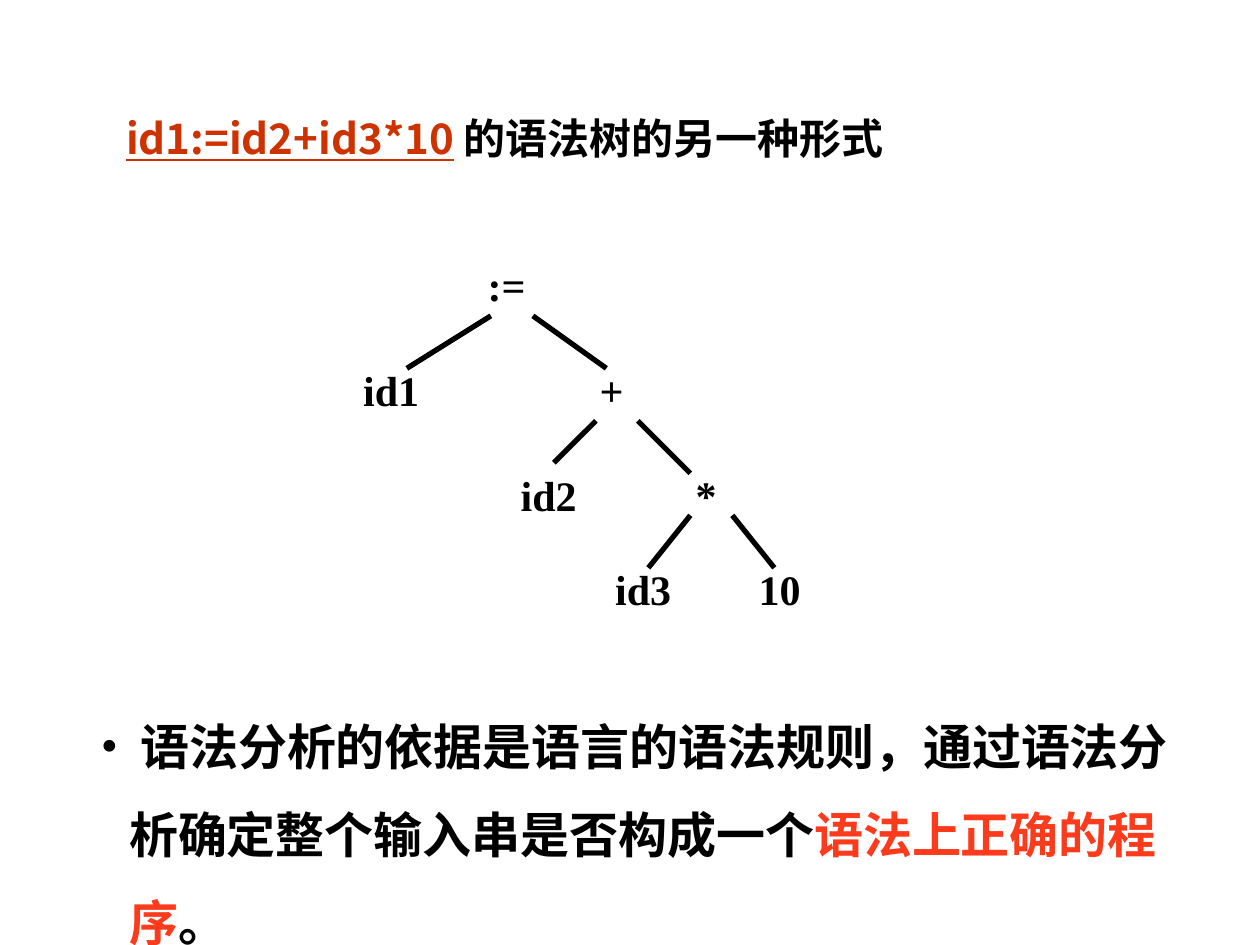
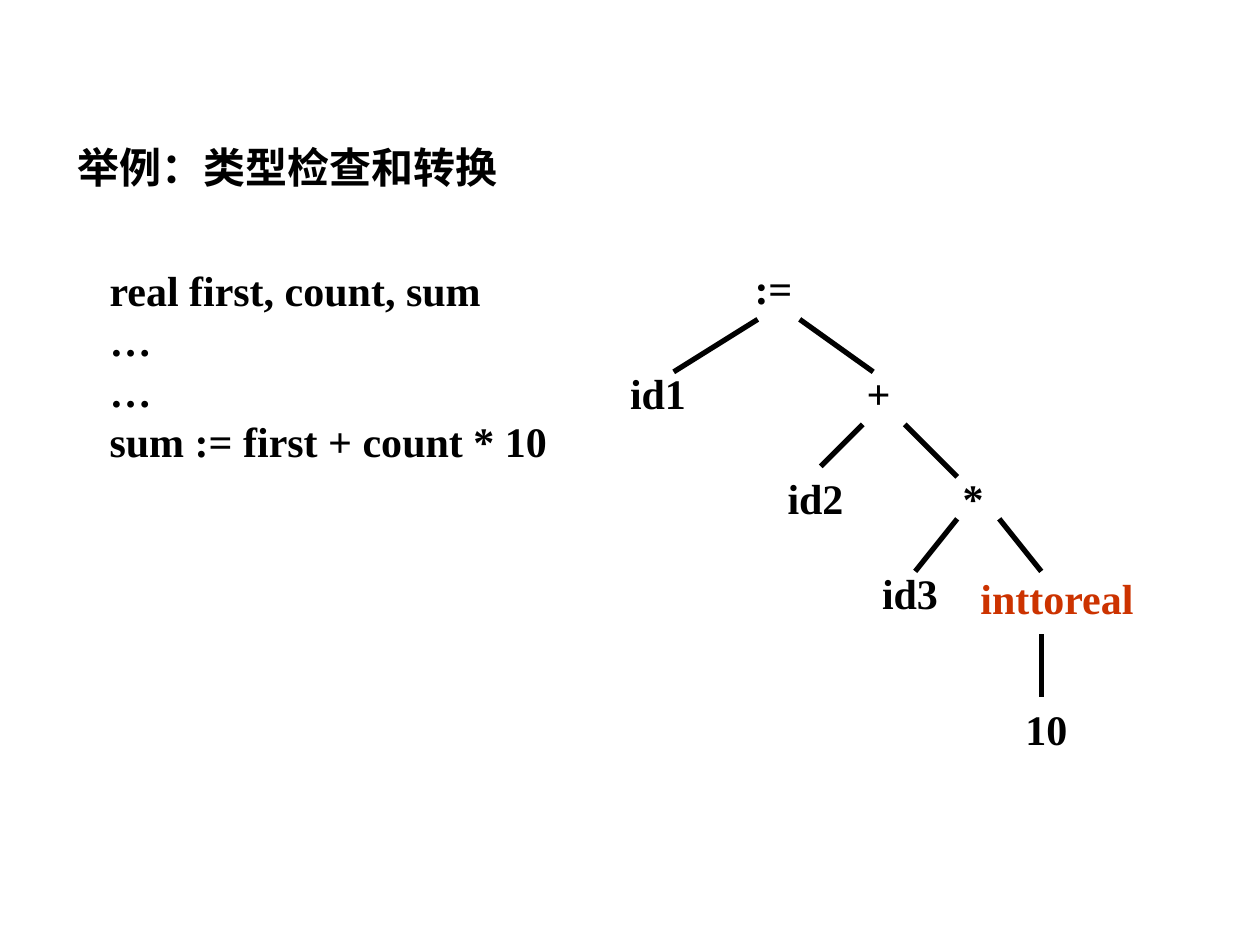
from lxml import etree
from pptx import Presentation
from pptx.dml.color import RGBColor
from pptx.enum import shapes, text
from pptx.oxml.ns import qn
from pptx.util import Pt

BLACK, RUST, RED = "000000", "CC3300", "FB3B1C"
SERIF, SANS, SANS_BODY = "Times New Roman", "Noto Sans CJK SC", "Noto Sans CJK JP"

NODE_W, NODE_H = 42, 36
# Node offsets from the top left of the tree
NODES = [(":=", 66, 0), ("id1", 0, 60), ("+", 126, 60), ("id2", 90, 120),
         ("*", 180, 120), ("id3", 144, 174)]
# Branches: start and end offsets
BRANCHES = [(78, 36, 30, 66), (102, 36, 144, 66), (138, 96, 114, 120),
            (162, 96, 192, 126), (192, 150, 168, 180), (216, 150, 240, 180)]


def rgb(color):
    return RGBColor.from_string(color)


def add_text(parent, box, paragraphs, *, size=24, font=SERIF, color=BLACK, align=None,
             anchor=text.MSO_ANCHOR.TOP, wrap=True, grow=False, before=0, spacing=None,
             side_inset=7.2):
    """Each paragraph is a list of (text, format) runs; format may hold color and underline."""
    sp = parent.add_textbox(*map(Pt, box))
    tf = sp.text_frame
    tf.word_wrap = wrap
    tf.vertical_anchor = anchor
    tf.margin_left = tf.margin_right = Pt(side_inset)
    if grow:
        tf.auto_size = text.MSO_AUTO_SIZE.SHAPE_TO_FIT_TEXT
    for i, runs in enumerate(paragraphs):
        p = tf.paragraphs[0] if i == 0 else tf.add_paragraph()
        p.alignment = align
        p.space_before = Pt(before)
        p.line_spacing = spacing
        for words, fmt in runs:
            r = p.add_run()
            r.text = words
            r.font.size = Pt(size)
            r.font.name = font
            r.font.bold = True
            r.font.underline = fmt.get("underline")
            r.font.color.rgb = rgb(fmt.get("color", color))
            etree.SubElement(r.font._element, qn("a:ea"), typeface=font)
    return sp


def add_bullet(p, indent):
    pPr = p._p.get_or_add_pPr()
    pPr.set("marL", str(Pt(indent)))
    pPr.set("indent", str(Pt(-indent)))
    etree.SubElement(pPr, qn("a:buFont"), typeface=SERIF)
    etree.SubElement(pPr, qn("a:buChar"), char="•")


def add_node(parent, x, y, label, w=NODE_W, h=NODE_H, color=BLACK):
    add_text(parent, (x, y, w, h), [[(label, {})]], color=color, wrap=False, side_inset=0,
             align=text.PP_ALIGN.CENTER, anchor=text.MSO_ANCHOR.MIDDLE)


def add_branch(parent, x1, y1, x2, y2):
    line = parent.add_connector(shapes.MSO_CONNECTOR.STRAIGHT, *map(Pt, (x1, y1, x2, y2)))
    line.line.color.rgb = rgb(BLACK)
    line.line.width = Pt(3)
    etree.SubElement(line._element.spPr, qn("a:effectLst"))


def syntax_tree(slide, x, y, converted=False):
    """Draw the tree at (x, y); converted puts inttoreal above the leaf 10."""
    group = slide.shapes.add_group_shape().shapes
    for label, dx, dy in NODES:
        add_node(group, x + dx, y + dy, label)
    add_node(group, x + 222, y + (252 if converted else 174), "10")
    branches = BRANCHES + ([(240, 216, 240, 252)] if converted else [])
    for x1, y1, x2, y2 in branches:
        add_branch(group, x + x1, y + y1, x + x2, y + y2)
    if converted:
        add_node(group, x + 198, y + 174, "inttoreal", w=102, h=42, color=RUST)


def heading(slide, box, runs, **fmt):
    add_text(slide.shapes, box, [runs], font=SANS, grow=True, **fmt)


def tree_slide(slide):
    heading(slide, (65, 60.5, 468, 65),
            [("id1:=id2+id3*10", {"color": RUST, "underline": True}),
             (" 的语法树的另一种形式", {})], before=15)
    syntax_tree(slide, 202.5, 144.5)
    sp = add_text(slide.shapes, (50.5, 389, 635, 108), [[
        (" 语法分析的依据是语言的语法规则，通过语法分析确定整个输入串是否构成一个", {}),
        ("语法上正确的程序", {"color": RED}),
        ("。", {})]], size=28, font=SANS_BODY, grow=True, before=17.5, spacing=1.5)
    add_bullet(sp.text_frame.paragraphs[0], 16.2)


def conversion_slide(slide):
    syntax_tree(slide, 355, 146.5, converted=True)
    code = ["real first, count, sum", "…", "…", "sum := first + count * 10"]
    add_text(slide.shapes, (55.5, 147.5, 270, 122.5), [[(line, {})] for line in code], grow=True)
    heading(slide, (37.5, 77.5, 260, 36), [("举例：类型检查和转换", {})])


def main():
    prs = Presentation()
    prs.slide_width, prs.slide_height = Pt(720), Pt(540)
    for build in (tree_slide, conversion_slide):
        build(prs.slides.add_slide(prs.slide_layouts[6]))
    prs.save("out.pptx")


if __name__ == "__main__":
    main()
